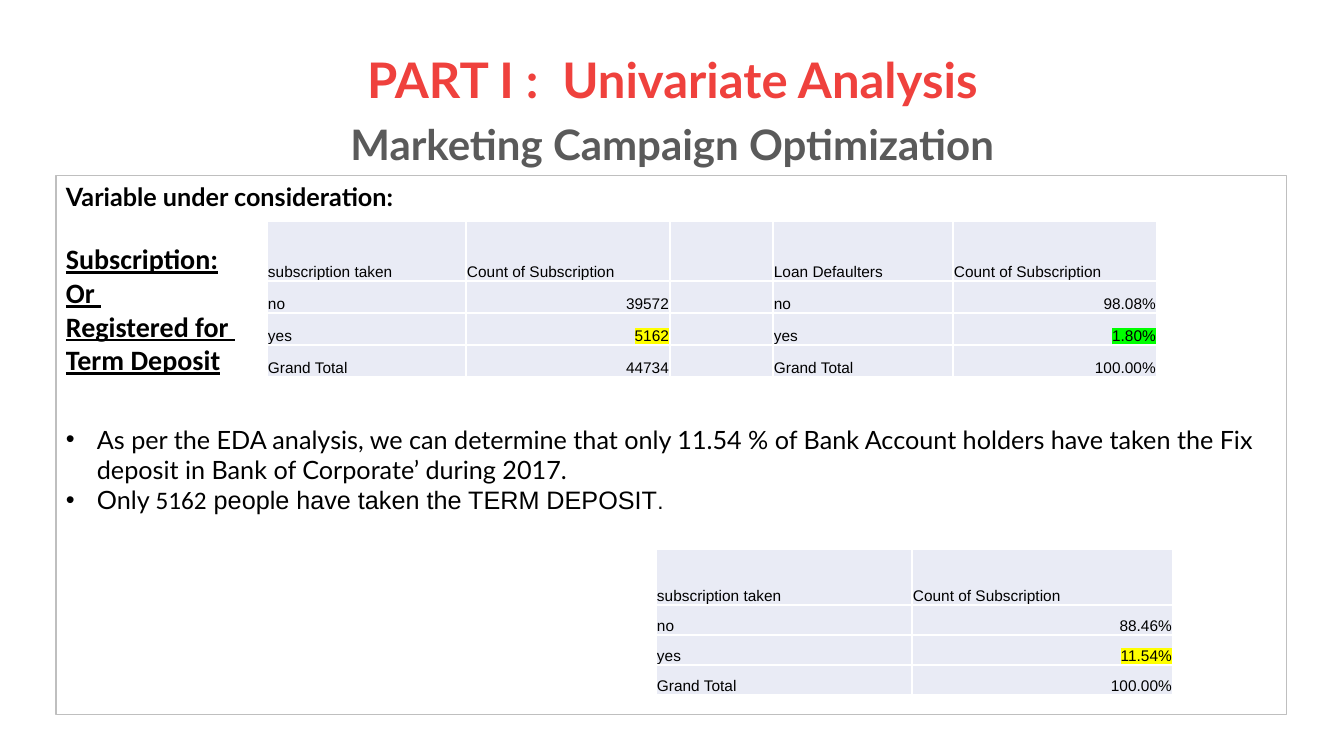
from copy import deepcopy

from lxml.etree import SubElement
from pptx import Presentation
from pptx.dml.color import RGBColor
from pptx.enum.shapes import MSO_SHAPE
from pptx.enum.text import MSO_ANCHOR, MSO_AUTO_SIZE, PP_ALIGN
from pptx.oxml import parse_xml
from pptx.oxml.ns import nsdecls, qn
from pptx.util import Pt


def px(length):
    """Turn px into EMU."""
    return round(length * 914400 / 100.8)


def rgb(value):
    """Turn a hex string into a colour."""
    return RGBColor.from_string(value)


def drawing_element(tag, content="", **attributes):
    """Build one DrawingML element."""
    listed = "".join(f' {name}="{value}"' for name, value in attributes.items())
    return parse_xml(f'<a:{tag} {nsdecls("a")}{listed}>{content}</a:{tag}>')


def solid(value):
    """Give the markup of a solid fill."""
    return f'<a:solidFill><a:srgbClr val="{value}"/></a:solidFill>'


def write(paragraph, text, size=18, font="Lato", color="000000", bold=False,
          underline=False, highlight=None, line_break=False):
    """Add a formatted run, with a line break of the same format if asked."""
    run = paragraph.add_run()
    run.text = text
    run.font.size = Pt(size)
    run.font.bold = bold
    run.font.underline = underline
    run.font.color.rgb = rgb(color)
    run.font.name = font
    properties = run._r.get_or_add_rPr()
    if highlight:
        mark = drawing_element("highlight", f'<a:srgbClr val="{highlight}"/>')
        properties.find(qn("a:solidFill")).addnext(mark)
    if line_break:
        paragraph.add_line_break()
        paragraph._p.findall(qn("a:br"))[-1].append(deepcopy(properties))


class AnalysisSlide:
    """Hold the style and the current slide."""

    cell_fill = "E9EBF5"
    cell_border = "FFFFFF"
    frame_line = "BFBFBF"
    yellow, green = "FFFF00", "00FF00"

    def __init__(self, presentation):
        """Add a title-only slide."""
        self.slide = presentation.slides.add_slide(presentation.slide_layouts[5])

    def title(self, left, top, width, height, lines):
        """Place the title and write its lines."""
        heading = self.slide.shapes.title
        heading.left, heading.top = px(left), px(top)
        heading.width, heading.height = px(width), px(height)
        frame = heading.text_frame
        frame.word_wrap = True
        frame.auto_size = MSO_AUTO_SIZE.NONE
        frame.vertical_anchor = MSO_ANCHOR.MIDDLE
        paragraph = frame.paragraphs[0]
        paragraph.alignment = PP_ALIGN.CENTER
        paragraph.line_spacing = 0.9
        for index, (text, size, color) in enumerate(lines):
            write(paragraph, text, size=size, color=color, bold=True,
                  line_break=index < len(lines) - 1)

    def panel(self, left, top, width, height):
        """Draw the outlined panel and return its text frame."""
        panel = self.slide.shapes.add_shape(
            MSO_SHAPE.RECTANGLE, px(left), px(top), px(width), px(height))
        panel.shadow.inherit = False
        panel.fill.background()
        panel.line.color.rgb = rgb(self.frame_line)
        panel.line.width = Pt(0.75)
        panel.text_frame.word_wrap = True
        panel.text_frame.vertical_anchor = MSO_ANCHOR.TOP
        return panel.text_frame

    def paragraph(self, frame, runs, before=0, bullet=False):
        """Write one left-aligned paragraph from runs of text and format."""
        first = frame.paragraphs[0]
        paragraph = frame.add_paragraph() if first.runs else first
        paragraph.alignment = PP_ALIGN.LEFT
        paragraph.space_before = Pt(before)
        if bullet:
            properties = paragraph._p.get_or_add_pPr()
            properties.set("marL", str(px(31)))
            properties.set("indent", str(-px(31)))
            color = SubElement(properties, qn("a:buClr"))
            SubElement(color, qn("a:srgbClr"), val="000000")
            SubElement(properties, qn("a:buFont"), typeface="Arial")
            SubElement(properties, qn("a:buChar"), char="•")
        for text, style in runs:
            write(paragraph, text, **style)

    def table(self, left, top, columns, heights, rows, highlights):
        """Draw a table with figures to the right and marked cells."""
        table = self.slide.shapes.add_table(
            len(heights), len(columns), px(left), px(top),
            px(sum(columns)), px(sum(heights))).table
        table.first_row = table.horz_banding = False
        for column, width in zip(table.columns, columns):
            column.width = px(width)
        for row, height in zip(table.rows, heights):
            row.height = px(height)
        for row, values in enumerate(rows):
            for column, value in enumerate(values):
                self.cell(table.cell(row, column), value,
                          highlights.get((row, column)))

    def cell(self, cell, value, highlight):
        """Format and fill one table cell."""
        cell.fill.solid()
        cell.fill.fore_color.rgb = rgb(self.cell_fill)
        cell.vertical_anchor = MSO_ANCHOR.BOTTOM
        cell.margin_left = cell.margin_right = cell.margin_top = px(1)
        cell.margin_bottom = 0
        properties = cell._tc.get_or_add_tcPr()
        for index, side in enumerate(("lnL", "lnR", "lnT", "lnB")):
            border = drawing_element(side, solid(self.cell_border), w=Pt(1))
            properties.insert(index, border)
        if value:
            paragraph = cell.text_frame.paragraphs[0]
            if value[0].isdigit():
                paragraph.alignment = PP_ALIGN.RIGHT
            write(paragraph, value, size=11, font="Arial", highlight=highlight)


def main():
    """Build and save the slide."""
    presentation = Presentation()
    presentation.slide_width, presentation.slide_height = px(1344), px(756)
    analysis = AnalysisSlide(presentation)

    analysis.title(93, 40, 1159, 146, [
        ("PART I :  Univariate Analysis", 35, "EF413D"),
        (" ", 10, "EF413D"),
        ("Marketing Campaign Optimization", 30, "5A5A5A"),
    ])

    findings = analysis.panel(56, 176, 1231, 539)
    analysis.paragraph(findings, [("Variable under consideration:", {"bold": True})])
    variable_style = {"size": 20, "font": "Calibri", "bold": True, "underline": True}
    variable_lines = ["Subscription:", "Or ", "Registered for ", "Term Deposit"]
    for index, line in enumerate(variable_lines):
        analysis.paragraph(findings, [(line, variable_style)],
                           before=0 if index else 22)
    analysis.paragraph(findings, [(
        "As per the EDA analysis, we can determine that only 11.54 % of Bank Account "
        "holders have taken the Fix deposit in Bank of Corporate’ during 2017.", {},
    )], before=34, bullet=True)
    analysis.paragraph(findings, [
        ("Only ", {}),
        ("5162", {"font": "Calibri"}),
        (" people have taken the TERM DEPOSIT", {"font": "Arial"}),
        (".", {"font": "Arial", "size": 16}),
    ], bullet=True)

    analysis.table(267, 221, [199, 204, 103, 180, 204], [60, 32, 32, 32], [
        ["subscription taken", "Count of Subscription", "",
         "Loan Defaulters", "Count of Subscription"],
        ["no", "39572", "", "no", "98.08%"],
        ["yes", "5162", "", "yes", "1.80%"],
        ["Grand Total", "44734", "", "Grand Total", "100.00%"],
    ], {(2, 1): analysis.yellow, (2, 4): analysis.green})
    analysis.table(656, 549, [256, 261], [56, 30, 30, 30], [
        ["subscription taken", "Count of Subscription"],
        ["no", "88.46%"],
        ["yes", "11.54%"],
        ["Grand Total", "100.00%"],
    ], {(2, 1): analysis.yellow})

    presentation.save("out.pptx")


if __name__ == "__main__":
    main()
